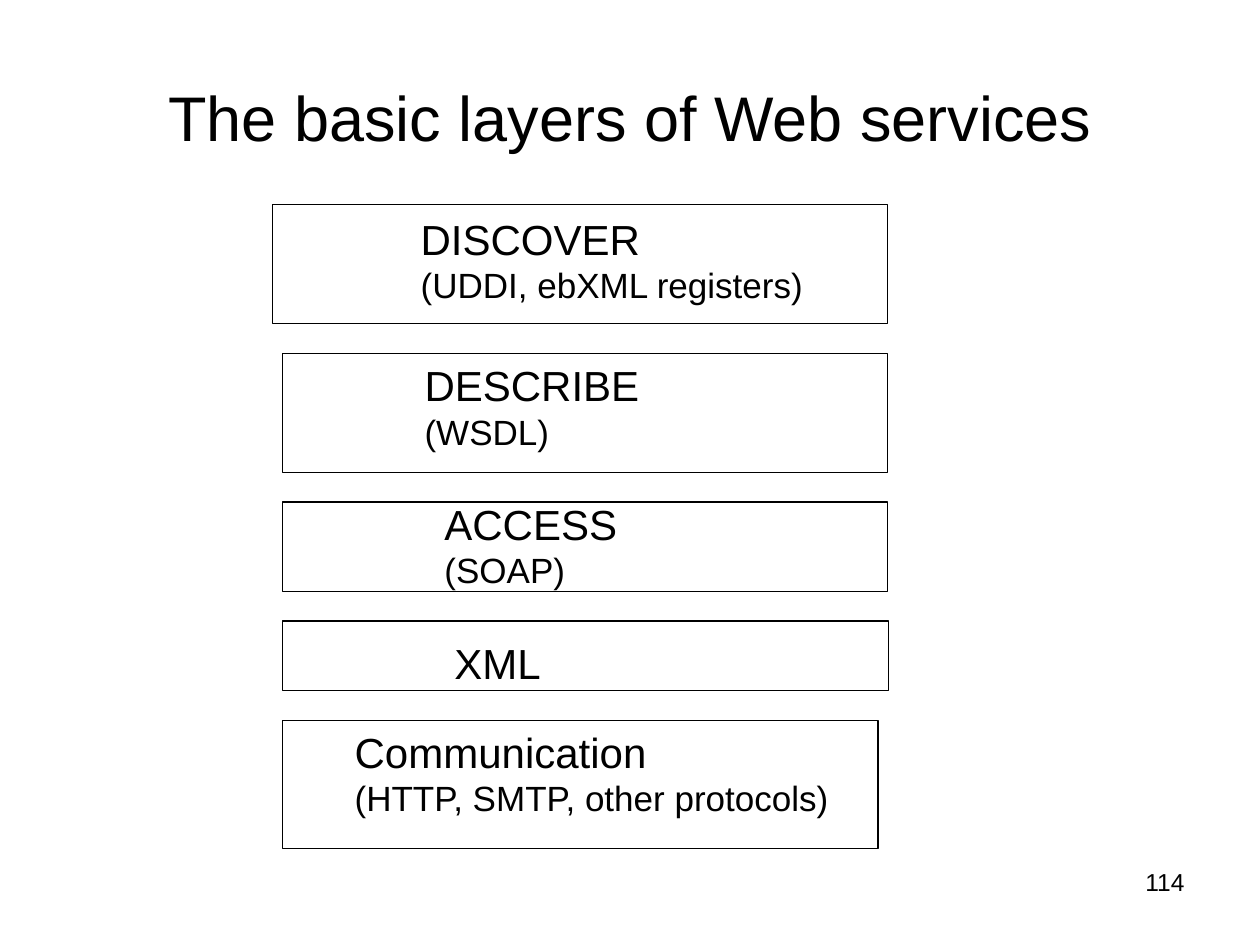
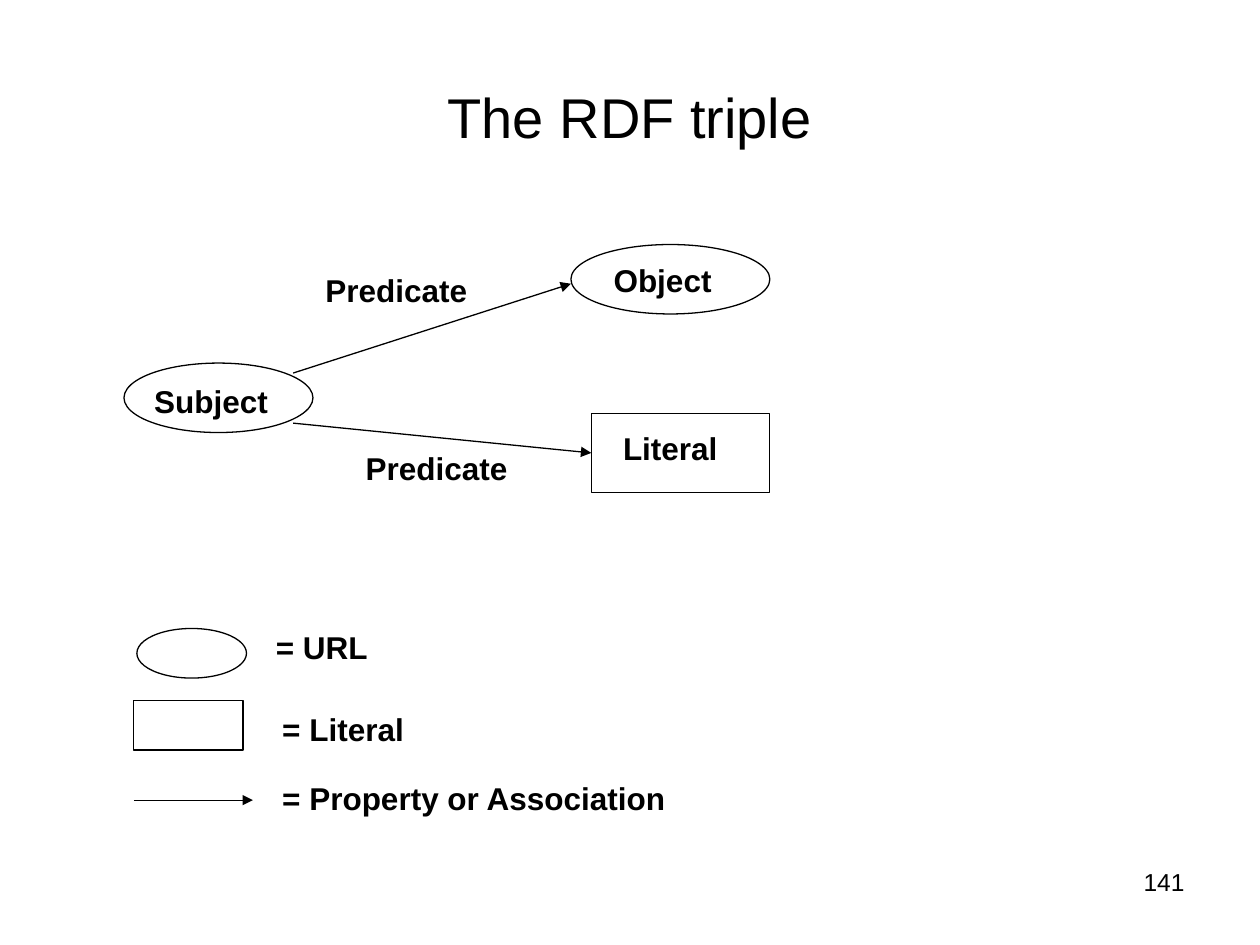
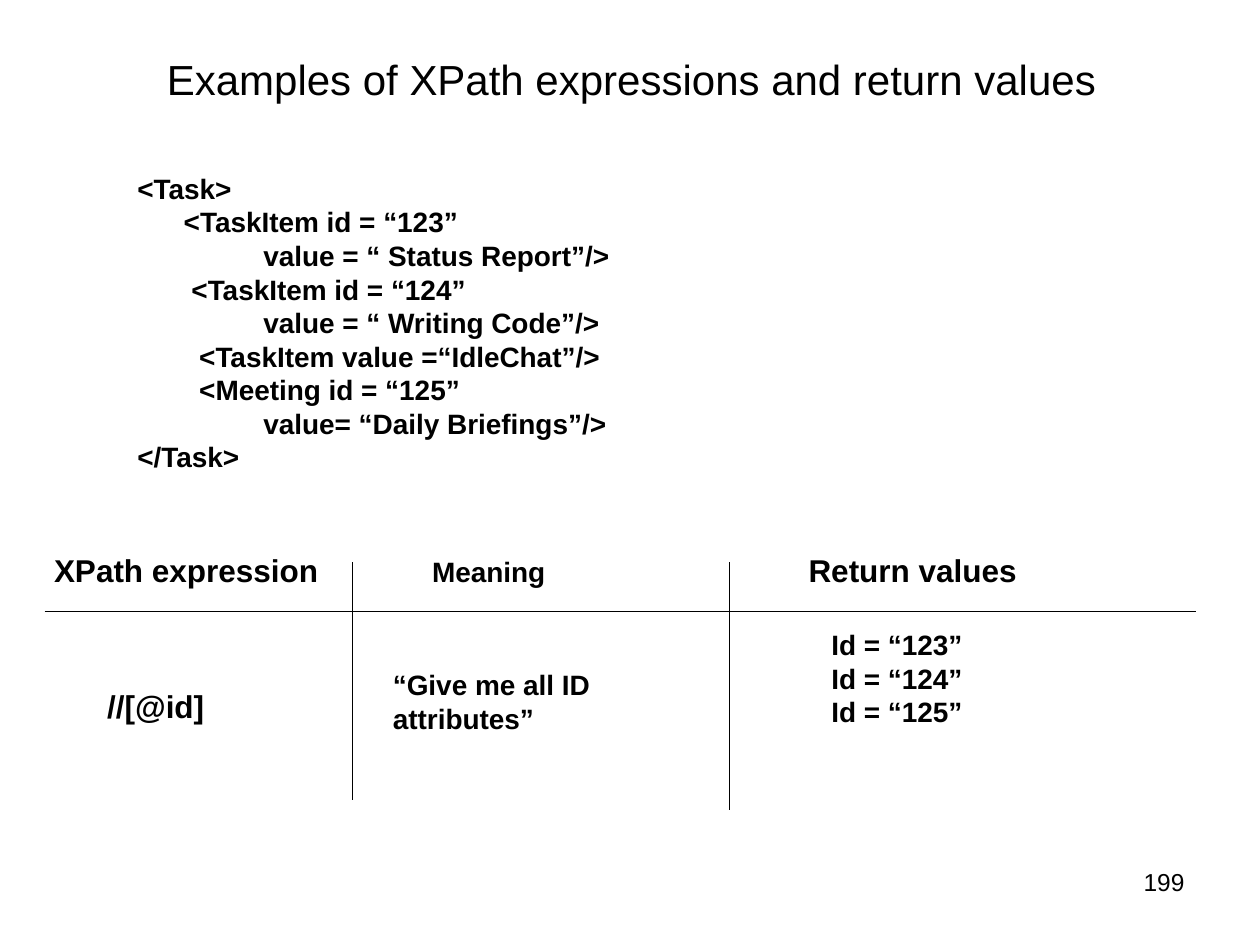
import collections

import lxml.etree
import pptx
import pptx.dml.color
import pptx.enum.shapes
import pptx.enum.text
import pptx.oxml.ns
import pptx.util

Cm = pptx.util.Cm
Pt = pptx.util.Pt
SHAPE = pptx.enum.shapes.MSO_SHAPE
ALIGN = pptx.enum.text.PP_ALIGN
ANCHOR = pptx.enum.text.MSO_ANCHOR
FIT = pptx.enum.text.MSO_AUTO_SIZE

BLACK = pptx.dml.color.RGBColor(0x00, 0x00, 0x00)
FONT = "Arial"
LINE_WIDTH = Pt(0.75)
LABEL_HEIGHT = 1.02
TAB_STOP = Cm(2.54)

Box = collections.namedtuple("Box", "left top width height")

LAYERS = [
    (Box(0, 0, 12.4, 2.41), "DISCOVER\n(UDDI, ebXML registers)", Box(2.74, 0.05, 8.28, 2.13)),
    (Box(0.2, 0, 12.2, 2.39), "DESCRIBE\n(WSDL)", Box(2.62, 0, 4.83, 2.13)),
    (Box(0.2, 0, 12.2, 1.8), "ACCESS\n(SOAP)", Box(3.02, -0.2, 3.99, 2.13)),
    (Box(0.2, 0, 12.22, 1.4), "XML", Box(3.22, 0.21, 2.26, 1.27)),
    (Box(0.2, 0, 12.01, 2.59), "Communication\n(HTTP, SMTP, other protocols)",
     Box(1.21, 0, 10.24, 2.97)),
]
LAYER_GAP = 0.6

TASK_CODE = """<Task>
      <TaskItem id = “123”
\tvalue = “ Status Report”/>
       <TaskItem id = “124”
\tvalue = “ Writing Code”/>
        <TaskItem value =“IdleChat”/>
        <Meeting id = “125”
\tvalue= “Daily Briefings”/>
</Task>"""


def within(outer, inner):
    """Return the inner box moved to slide coordinates."""
    return inner._replace(left=outer.left + inner.left, top=outer.top + inner.top)


def lengths(box):
    """Return the four sides of a box as lengths."""
    return [Cm(round(side, 2)) for side in box]


def add_tab_stop(paragraph):
    """Give a paragraph one left tab stop."""
    properties = paragraph._p.get_or_add_pPr()
    stops = lxml.etree.SubElement(properties, pptx.oxml.ns.qn("a:tabLst"))
    lxml.etree.SubElement(stops, pptx.oxml.ns.qn("a:tab"), pos=str(int(TAB_STOP)), algn="l")


def write(slide, text, box, size=18, later_size=None, bold=False, align=ALIGN.LEFT,
          anchor=ANCHOR.TOP, wrap=False, fit=True):
    """Write one paragraph per line of text, the later ones optionally in another size."""
    frame = slide.shapes.add_textbox(*lengths(box)).text_frame
    frame.word_wrap = wrap
    frame.auto_size = FIT.SHAPE_TO_FIT_TEXT if fit else FIT.NONE
    frame.vertical_anchor = anchor
    for index, line in enumerate(text.split("\n")):
        paragraph = frame.add_paragraph() if index else frame.paragraphs[0]
        if "\t" in line:
            add_tab_stop(paragraph)
        paragraph.alignment = align
        run = paragraph.add_run()
        run.text = line
        run.font.name = FONT
        run.font.size = Pt(later_size if index and later_size else size)
        run.font.bold = bold
        run.font.color.rgb = BLACK


def outline(slide, preset, box):
    """Draw an unfilled preset shape with a thin black line."""
    shape = slide.shapes.add_shape(preset, *lengths(box))
    shape.shadow.inherit = False
    shape.fill.background()
    shape.line.color.rgb = BLACK
    shape.line.width = LINE_WIDTH
    return shape


def rule(slide, region, start, end, arrow=False):
    """Draw a straight line between two points of a region."""
    points = [Cm(round(origin + offset, 2))
              for point in (start, end) for origin, offset in zip(region, point)]
    line = slide.shapes.add_connector(pptx.enum.shapes.MSO_CONNECTOR.STRAIGHT, *points)
    line.line.color.rgb = BLACK
    line.line.width = LINE_WIDTH
    properties = line._element.spPr
    if arrow:
        lxml.etree.SubElement(line.line._get_or_add_ln(), pptx.oxml.ns.qn("a:tailEnd"),
                              type="triangle")
    lxml.etree.SubElement(properties, pptx.oxml.ns.qn("a:effectLst"))
    return line


def add_page(deck, title, number, title_size, title_box=Box(1.27, 0.76, 22.86, 3.18)):
    """Add a blank slide with its title and page number."""
    slide = deck.slides.add_slide(deck.slide_layouts[6])
    write(slide, number, Box(18.21, 17.35, 5.92, 1.32), size=14, align=ALIGN.RIGHT,
          wrap=True, fit=False)
    write(slide, title, title_box, size=title_size, align=ALIGN.CENTER,
          anchor=ANCHOR.MIDDLE, wrap=True, fit=False)
    return slide


def draw_layers(slide, region):
    """Stack the service layers from the top of the region with equal gaps."""
    top = region.top
    for layer, text, label in LAYERS:
        place = Box(region.left + layer.left, top, layer.width, layer.height)
        outline(slide, SHAPE.RECTANGLE, place)
        write(slide, text, within(place, label), size=24, later_size=20,
              wrap=text.startswith("Communication"))
        top += layer.height + LAYER_GAP


def write_labels(slide, region, labels):
    """Write bold one-line labels given as text, left, top and width."""
    for text, left, top, width in labels:
        write(slide, text, within(region, Box(left, top, width, LABEL_HEIGHT)), bold=True)


def draw_triple(slide, region):
    """Draw the subject and its predicates to an object and a literal."""
    outline(slide, SHAPE.OVAL, within(region, Box(0, 2.39, 3.81, 1.4)))
    outline(slide, SHAPE.OVAL, within(region, Box(9.01, 0, 4.01, 1.4)))
    literal = outline(slide, SHAPE.RECTANGLE, within(region, Box(9.42, 3.4, 3.6, 1.6)))
    rule(slide, region, (3.41, 2.59), (9.01, 0.79), arrow=True)
    to_literal = rule(slide, region, (3.41, 3.6), (9.42, 4.2), arrow=True)
    to_literal.end_connect(literal, 1)
    write_labels(slide, region, [
        ("Subject", 0.36, 2.64, 2.9),
        ("Predicate", 3.81, 0.4, 3.45),
        ("Predicate", 4.62, 3.99, 3.45),
        ("Literal", 9.81, 3.6, 2.5),
        ("Object", 9.62, 0.2, 2.6),
    ])


def draw_legend(slide, region):
    """Explain the ellipse, the rectangle and the arrow."""
    outline(slide, SHAPE.OVAL, within(region, Box(0.07, 0.15, 2.21, 1)))
    outline(slide, SHAPE.RECTANGLE, within(region, Box(0, 1.6, 2.21, 1)))
    rule(slide, region, (0.01, 3.61), (2.41, 3.61), arrow=True)
    write_labels(slide, region, [
        ("= URL", 2.62, 0.01, 2.45),
        ("= Literal", 2.75, 1.66, 3.05),
        ("= Property or Association", 2.75, 3.05, 8.35),
    ])


def draw_results(slide, region):
    """Set the expression, its meaning and its values in a ruled grid."""
    write_labels(slide, region, [
        ("XPath expression", 0, 0.01, 5.95),
        ("Return values", 15.21, 0.01, 4.8),
        ("//[@id]", 1.07, 2.75, 2.55),
    ])
    for text, place in [
        ("Meaning", Box(7.62, 0.08, 2.9, 0.94)),
        ("“Give me all ID\nattributes”", Box(6.83, 2.37, 4.6, 1.63)),
        ("Id = “123”\nId = “124”\nId = “125”", Box(15.67, 1.56, 3.25, 2.97)),
    ]:
        write(slide, text, within(region, place), size=16, bold=True)
    rule(slide, region, (0.06, 1.35), (23.26, 1.35))
    for left, bottom in [(6.27, 5.16), (13.87, 5.36)]:
        rule(slide, region, (left, 0.36), (left, bottom))


def main():
    """Build the three slides and save them."""
    deck = pptx.Presentation()
    deck.slide_width, deck.slide_height = Cm(25.4), Cm(19.05)

    layers = add_page(deck, "The basic layers of Web services", "114", 36)
    draw_layers(layers, Box(5.49, 4.12, 12.4, 12.99))

    triple = add_page(deck, "The RDF triple", "141", 32)
    draw_triple(triple, Box(2.5, 4.93, 13.02, 5))
    draw_legend(triple, Box(2.69, 12.52, 11.1, 4.07))

    xpath = add_page(deck, "Examples of XPath expressions and return values", "199", 24,
                     title_box=Box(1.3, 0, 22.86, 3.18))
    write(xpath, TASK_CODE, Box(2.52, 3.33, 10.05, 7.7), size=16, bold=True)
    draw_results(xpath, Box(0.84, 10.97, 23.26, 5.36))

    deck.save("out.pptx")


if __name__ == "__main__":
    main()
